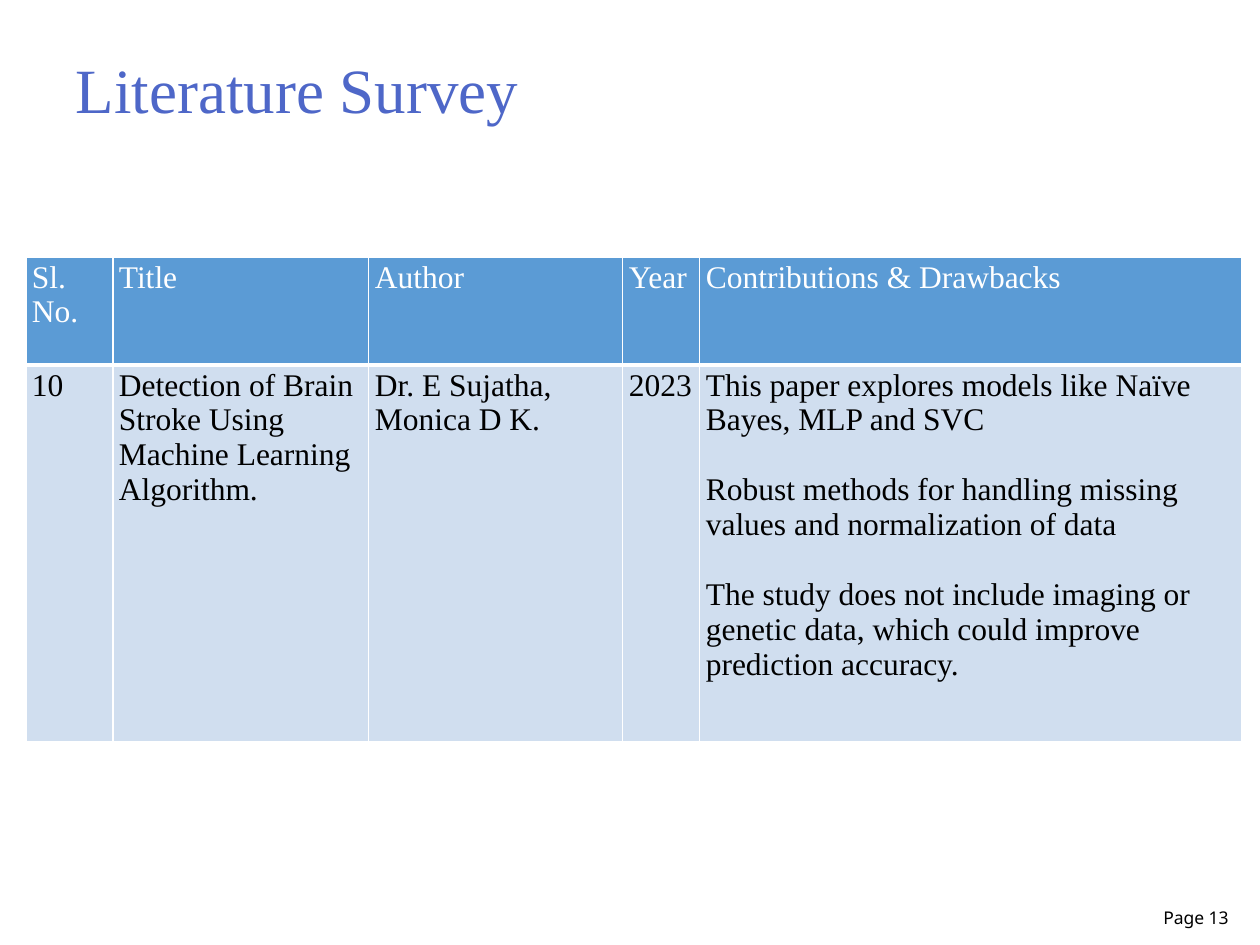
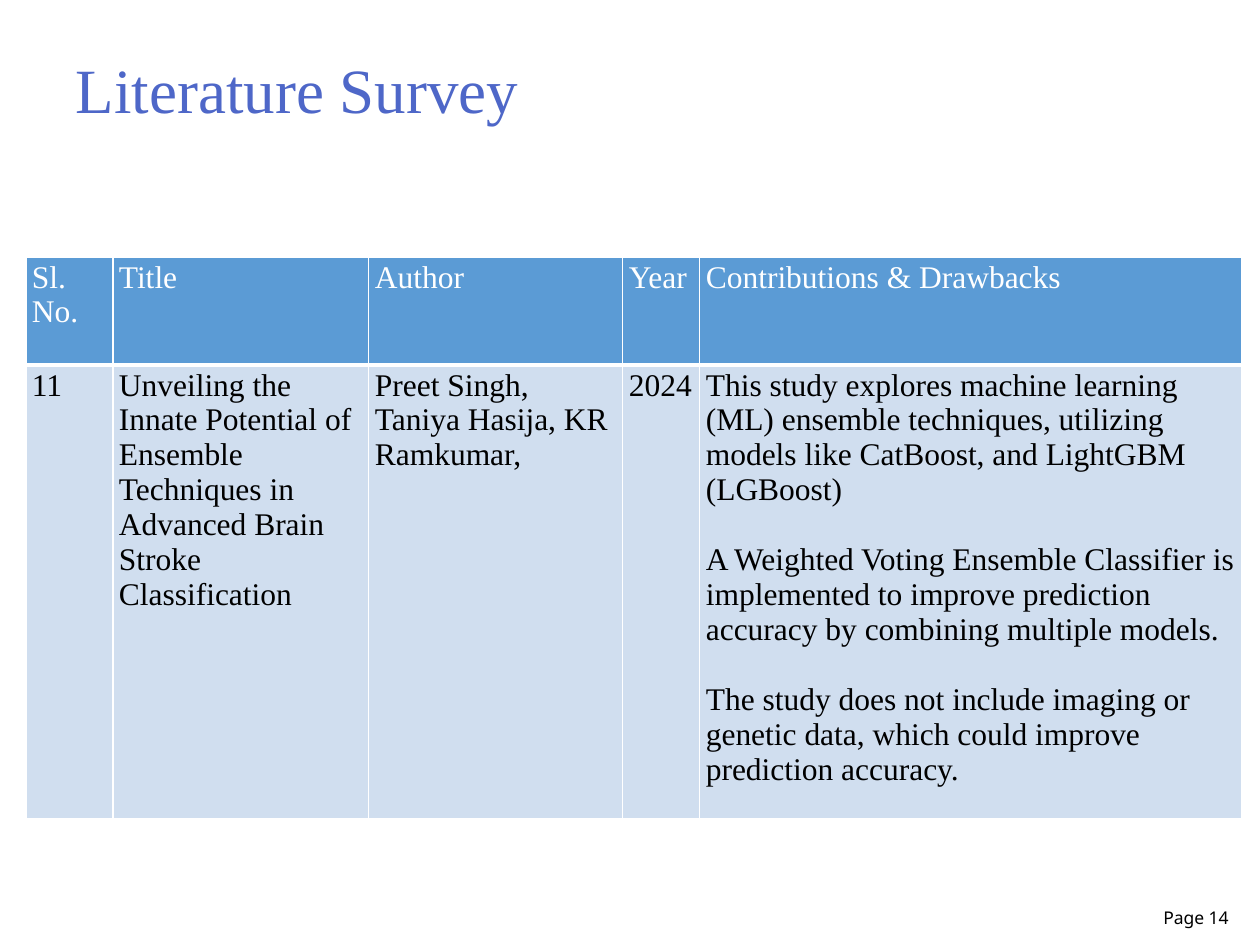
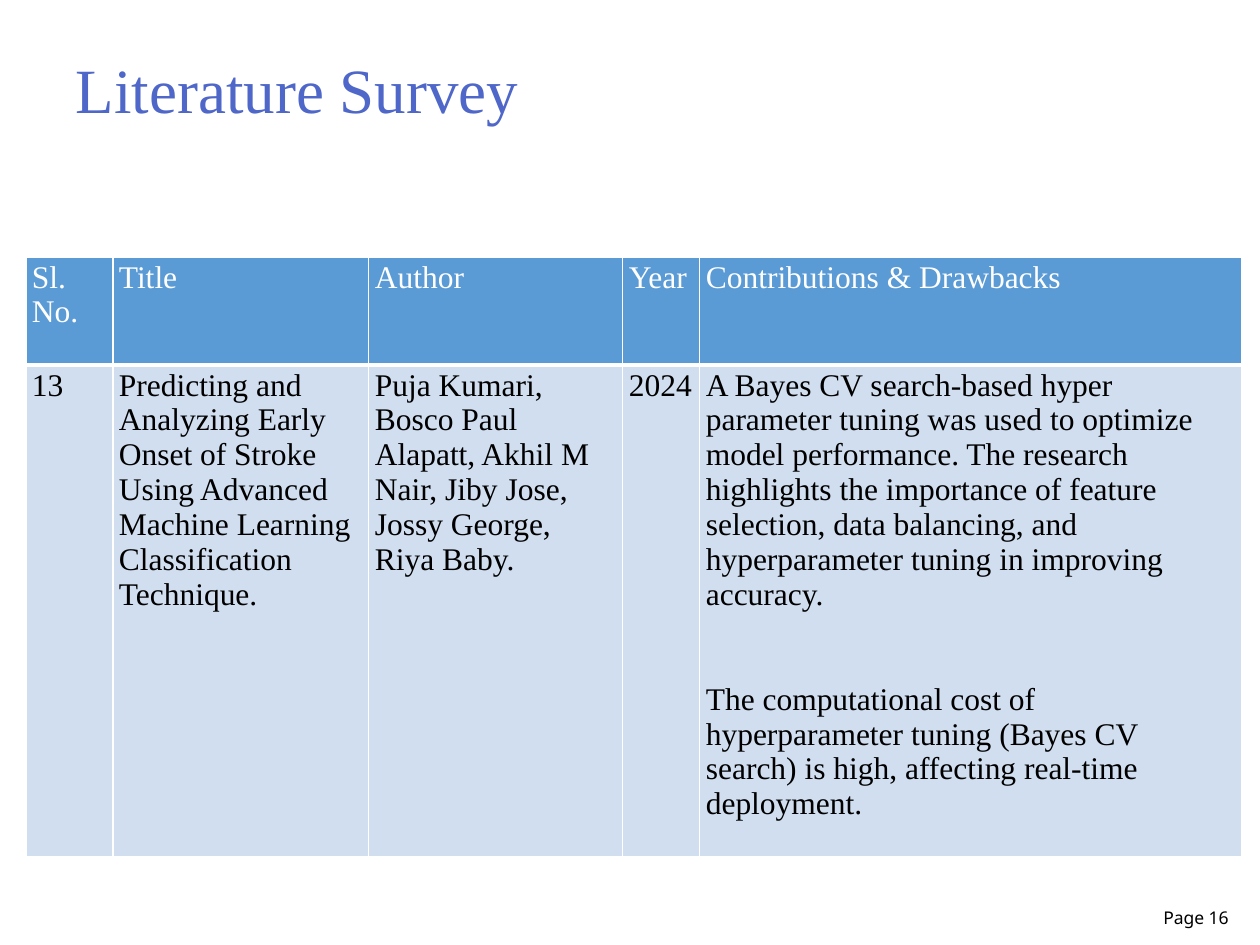
from lxml import etree
from pptx import Presentation
from pptx.dml.color import RGBColor
from pptx.enum.text import MSO_ANCHOR, PP_ALIGN
from pptx.oxml.ns import qn
from pptx.util import Emu, Pt

LEFT, RIGHT = PP_ALIGN.LEFT, PP_ALIGN.RIGHT
TOP, MIDDLE, BOTTOM = MSO_ANCHOR.TOP, MSO_ANCHOR.MIDDLE, MSO_ANCHOR.BOTTOM

WHITE = RGBColor(0xFF, 0xFF, 0xFF)
BLACK = RGBColor(0x00, 0x00, 0x00)
TITLE_BLUE = RGBColor(0x4E, 0x67, 0xC8)
HEADER_BLUE = RGBColor(0x5B, 0x9B, 0xD5)
ROW_BLUE = RGBColor(0xD0, 0xDE, 0xEF)

SERIF = "Times New Roman"
SANS = "Noto Sans"
PX_PER_INCH = 126
THIN, THICK = 0.75, 2

COLUMN_WIDTHS = [87, 256, 254, 77, 542]
ROW_HEIGHTS = [108, 377]
HEADINGS = ["Sl. No.", "Title", "Author", "Year", "Contributions & Drawbacks"]

NO_IMAGING = ("The study does not include imaging or genetic data, "
              "which could improve prediction accuracy.")

SURVEY = [
    {
        "page": 13,
        "table_height": 485,
        "gap": 20,
        "entry": ["10", "Detection of Brain Stroke Using Machine Learning Algorithm.",
                  "Dr. E Sujatha, Monica D K.", "2023"],
        "findings": [
            "This paper explores models like Naïve Bayes, MLP and SVC",
            "Robust methods for handling missing values and normalization of data",
            NO_IMAGING,
        ],
    },
    {
        "page": 14,
        "table_height": 567,
        "gap": 20,
        "entry": ["11", "Unveiling the Innate Potential of Ensemble Techniques in "
                        "Advanced Brain Stroke Classification",
                  "Preet Singh, Taniya Hasija, KR Ramkumar,", "2024"],
        "findings": [
            "This study explores machine learning (ML) ensemble techniques, "
            "utilizing models like CatBoost, and LightGBM (LGBoost)",
            "A Weighted Voting Ensemble Classifier is implemented to improve "
            "prediction accuracy by combining multiple models.",
            NO_IMAGING,
        ],
    },
    {
        "page": 16,
        "table_height": 605,
        "gap": 40,
        "entry": ["13", "Predicting and Analyzing Early Onset of Stroke Using "
                        "Advanced Machine Learning Classification Technique.",
                  "Puja Kumari, Bosco Paul Alapatt, Akhil M Nair, Jiby Jose, "
                  "Jossy George, Riya Baby.", "2024"],
        "findings": [
            "A Bayes CV search-based hyper parameter tuning was used to optimize "
            "model performance. The research highlights the importance of feature "
            "selection, data balancing, and hyperparameter tuning in improving accuracy.",
            "The computational cost of hyperparameter tuning (Bayes CV search) is high, "
            "affecting real-time deployment.",
        ],
    },
]


def px(length):
    return Emu(round(length * 914400 / PX_PER_INCH))


class SurveyDeck:
    def __init__(self):
        self.deck = Presentation()
        self.deck.slide_width = px(1260)
        self.deck.slide_height = px(945)
        self.page = None

    def add_page(self):
        self.page = self.deck.slides.add_slide(self.deck.slide_layouts[6])

    def add_paragraphs(self, frame, texts, size, font, color, align=LEFT, gap=0):
        for index, text in enumerate(texts):
            para = frame.add_paragraph() if index else frame.paragraphs[0]
            para.alignment = align
            para.space_before = Pt(gap if index else 0)
            span = para.add_run()
            span.text = text
            span.font.size = Pt(size)
            span.font.name = font
            span.font.bold = False
            span.font.color.rgb = color

    def add_text(self, text, left, top, width, height, size, font, color,
                 align=LEFT, anchor=TOP, inset=13):
        box = self.page.shapes.add_textbox(px(left), px(top), px(width), px(height))
        frame = box.text_frame
        frame.word_wrap = True
        frame.vertical_anchor = anchor
        frame.margin_left = px(inset)
        self.add_paragraphs(frame, [text], size, font, color, align)

    def add_title(self, text):
        self.add_text(text, 0, 29, 948, 118, 36, SERIF, TITLE_BLUE,
                      anchor=MIDDLE, inset=76)

    def add_page_number(self, number):
        self.add_text(f"Page {number}", 1145, 883, 96, 51, 10, SANS, BLACK,
                      align=RIGHT, anchor=BOTTOM)

    def add_borders(self, cell, top, bottom):
        properties = cell._tc.get_or_add_tcPr()
        for side, points in zip("LRTB", (THIN, THIN, top, bottom)):
            line = etree.SubElement(properties, qn(f"a:ln{side}"), w=str(Pt(points)))
            fill = etree.SubElement(line, qn("a:solidFill"))
            etree.SubElement(fill, qn("a:srgbClr"), val=str(WHITE))

    def fill_cell(self, cell, texts, is_header, gap):
        cell.margin_left = cell.margin_right = px(6)
        cell.margin_top = cell.margin_bottom = px(3)
        self.add_borders(cell, *((THIN, THICK) if is_header else (THICK, THIN)))
        cell.fill.solid()
        cell.fill.fore_color.rgb = HEADER_BLUE if is_header else ROW_BLUE
        self.add_paragraphs(cell.text_frame, texts, 18, SERIF,
                            WHITE if is_header else BLACK, gap=gap)

    def add_survey_table(self, entry, findings, height, gap):
        holder = self.page.shapes.add_table(
            len(ROW_HEIGHTS), len(COLUMN_WIDTHS),
            px(26), px(257), px(sum(COLUMN_WIDTHS)), px(height))
        table = holder.table
        table.first_row = table.horz_banding = False
        for column, width in zip(table.columns, COLUMN_WIDTHS):
            column.width = px(width)
        for row, row_height in zip(table.rows, ROW_HEIGHTS):
            row.height = px(row_height)
        holder.height = px(height)
        contents = [[[heading] for heading in HEADINGS],
                    [[text] for text in entry] + [findings]]
        for row_index, row_texts in enumerate(contents):
            for column_index, texts in enumerate(row_texts):
                self.fill_cell(table.cell(row_index, column_index), texts,
                               row_index == 0, gap)


def main():
    survey = SurveyDeck()
    for study in SURVEY:
        survey.add_page()
        survey.add_title("Literature Survey")
        survey.add_survey_table(study["entry"], study["findings"],
                                study["table_height"], study["gap"])
        survey.add_page_number(study["page"])
    survey.deck.save("out.pptx")


if __name__ == "__main__":
    main()
